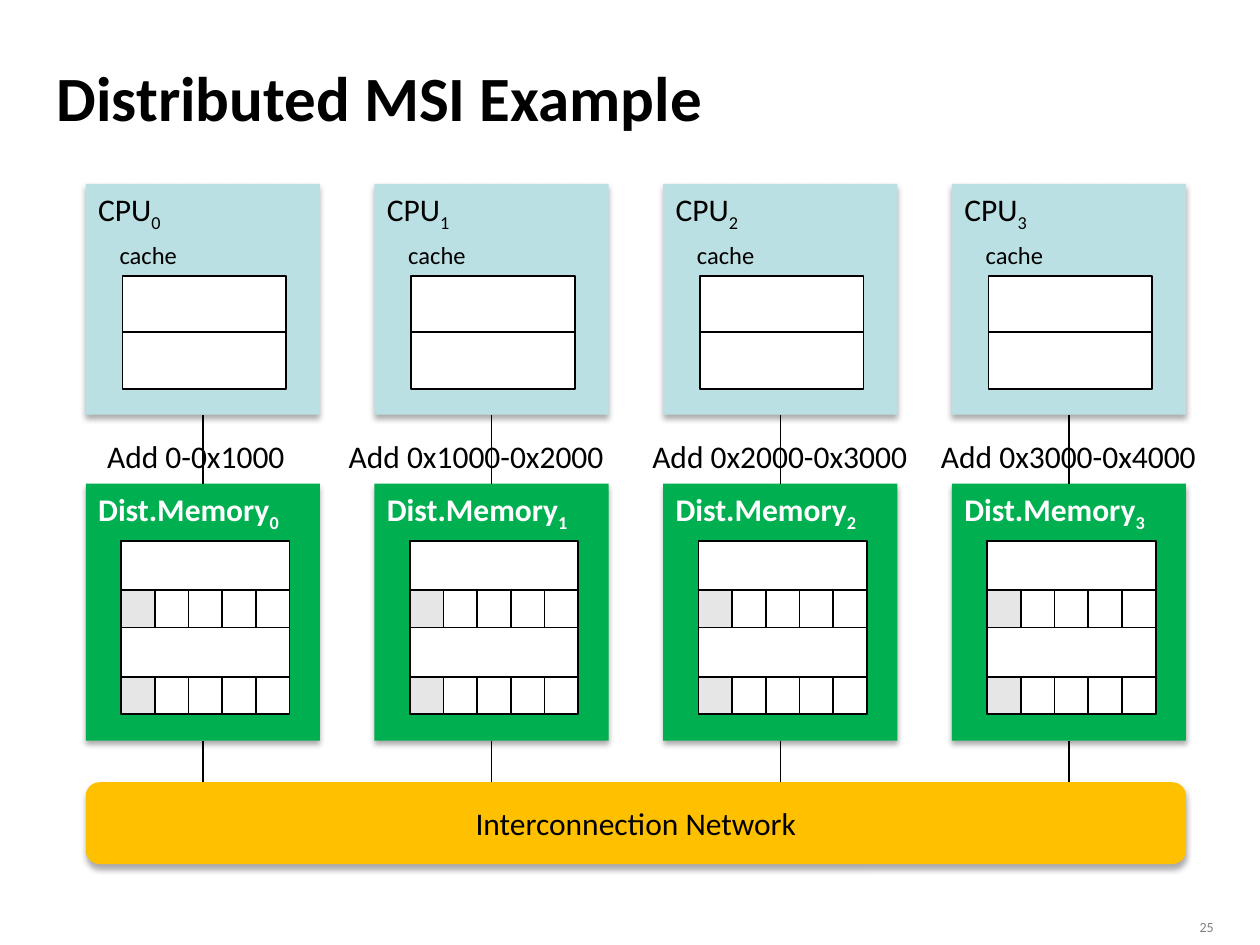
from lxml import etree
from pptx import Presentation
from pptx import util as u
from pptx.dml.color import RGBColor
from pptx.enum import shapes, text
from pptx.oxml import ns

Cm, Pt = u.Cm, u.Pt
KIND = shapes.MSO_SHAPE
HUE = {
    "ink": "000000", "white": "FFFFFF", "cpu": "BBE0E3", "mem": "00B050",
    "net": "FFC000", "tag": "E6E6E6", "page": "808080",
}
LEFT, STEP, WIDE = 1.73, 5.82, 4.72
CPU_TOP, CPU_TALL = 3.71, 4.65
MEM_TOP, MEM_TALL = 9.75, 5.18
NET_TOP = 15.77
# Left edge, width and wording of each address label
LABELS = [
    (1.91, 4.5, "Add 0-0x1000"),
    (6.78, 6.25, "Add 0x1000-0x2000"),
    (12.9, 6.25, "Add 0x2000-0x3000"),
    (18.72, 6.25, "Add 0x3000-0x4000"),
]


def rgb(name):
    return RGBColor.from_string(HUE[name])


def add_run(para, words, size, hue="ink", bold=False, sub=False):
    run = para.add_run()
    run.text = words
    font = run.font
    font.name, font.size, font.bold = "Calibri", Pt(size), bold
    font.color.rgb = rgb(hue)
    if sub:
        run._r.get_or_add_rPr().set("baseline", "-25000")


def add_box(parent, at, fill, kind=KIND.RECTANGLE):
    """Add a filled shape without a line or shadow."""
    box = parent.shapes.add_shape(kind, *map(Cm, at))
    box.shadow.inherit = False
    box.fill.solid()
    box.fill.fore_color.rgb = rgb(fill)
    box.line.fill.background()
    return box


def add_cell(parent, at, fill="white"):
    cell = add_box(parent, at, fill)
    cell.line.color.rgb = rgb("ink")
    cell.line.width = Pt(1)


def add_shade(box):
    """Cast a soft shadow straight down."""
    effects = box._element.spPr.find(ns.qn("a:effectLst"))
    shade = etree.SubElement(
        effects, ns.qn("a:outerShdw"), blurRad=str(Pt(3.5)),
        dist=str(Pt(2.2)), dir="5400000", rotWithShape="0")
    hue = etree.SubElement(shade, ns.qn("a:srgbClr"), val=HUE["ink"])
    etree.SubElement(hue, ns.qn("a:alpha"), val="32000")


def add_panel(parent, at, fill, name, num, hue, bold):
    """Add a shaded box headed by a name with a subscript number."""
    box = add_box(parent, at, fill)
    add_shade(box)
    frame = box.text_frame
    frame.vertical_anchor = text.MSO_ANCHOR.TOP
    head = frame.paragraphs[0]
    head.alignment = text.PP_ALIGN.LEFT
    add_run(head, name, 18, hue, bold)
    add_run(head, str(num), 18, hue, bold, sub=True)
    return box


def add_cpu(slide, num, left):
    group = slide.shapes.add_group_shape()
    box = add_panel(group, (left, CPU_TOP, WIDE, CPU_TALL),
                    "cpu", "CPU", num, "ink", False)
    para = box.text_frame.add_paragraph()
    para.alignment = text.PP_ALIGN.LEFT
    para.space_before = Pt(4)
    para._p.get_or_add_pPr().set("marL", str(Cm(0.43)))
    add_run(para, "cache", 14)
    for row in range(2):
        add_cell(group, (left + 0.74, 5.56 + row * 1.14, 3.3, 1.14))
    return box


def add_mem(slide, num, left):
    """Add a memory whose two blocks each have a row of directory bits."""
    group = slide.shapes.add_group_shape()
    box = add_panel(group, (left, MEM_TOP, WIDE, MEM_TALL),
                    "mem", "Dist.Memory", num, "white", True)
    for row in range(2):
        top = 10.9 + row * 1.75
        add_cell(group, (left + 0.71, top, 3.4, 1))
        for col in range(5):
            add_cell(group, (left + 0.71 + col * 0.68, top + 1, 0.68, 0.75),
                     "white" if col else "tag")
    return box


def add_net(slide):
    net = add_box(slide, (LEFT, NET_TOP, 3 * STEP + WIDE, 1.65),
                  "net", KIND.ROUNDED_RECTANGLE)
    add_shade(net)
    net.text_frame.vertical_anchor = text.MSO_ANCHOR.MIDDLE
    para = net.text_frame.paragraphs[0]
    para.alignment = text.PP_ALIGN.CENTER
    add_run(para, "Interconnection Network", 18)


def add_link(slide, upper, lower=None):
    """Run a line down from a box to another box, or else to the network."""
    mid = upper.left + upper.width // 2
    link = slide.shapes.add_connector(
        shapes.MSO_CONNECTOR.STRAIGHT,
        mid, upper.top + upper.height, mid, Cm(NET_TOP))
    link.begin_connect(upper, 2)
    if lower is not None:
        link.end_connect(lower, 0)
    link.line.color.rgb = rgb("ink")
    link.line.width = Pt(0.75)
    etree.SubElement(link._element.spPr, ns.qn("a:effectLst"))


def add_note(slide, at, words, size, hue="ink", align=text.PP_ALIGN.LEFT):
    frame = slide.shapes.add_textbox(*map(Cm, at)).text_frame
    frame.word_wrap = True
    para = frame.paragraphs[0]
    para.alignment = align
    add_run(para, words, size, hue)


def set_title(slide, words):
    title = slide.shapes.title
    title.left, title.top = Cm(0.89), Cm(0.89)
    title.width, title.height = Cm(22.86), Cm(2.11)
    title.text_frame.vertical_anchor = text.MSO_ANCHOR.MIDDLE
    para = title.text_frame.paragraphs[0]
    para.alignment = text.PP_ALIGN.LEFT
    add_run(para, words, 36, bold=True)


def main():
    deck = Presentation()
    deck.slide_width, deck.slide_height = Cm(25.4), Cm(19.05)
    slide = deck.slides.add_slide(deck.slide_layouts[5])
    set_title(slide, "Distributed MSI Example")
    add_net(slide)
    for num, (x, wide, words) in enumerate(LABELS):
        left = LEFT + num * STEP
        cpu = add_cpu(slide, num, left)
        mem = add_mem(slide, num, left)
        add_link(slide, cpu, mem)
        add_link(slide, mem)
        add_note(slide, (x, 8.69, wide, 1.02), words, 18)
    add_note(slide, (23.04, 18.39, 1.68, 0.43), "25", 8, "page",
             text.PP_ALIGN.RIGHT)
    deck.save("out.pptx")


if __name__ == "__main__":
    main()
